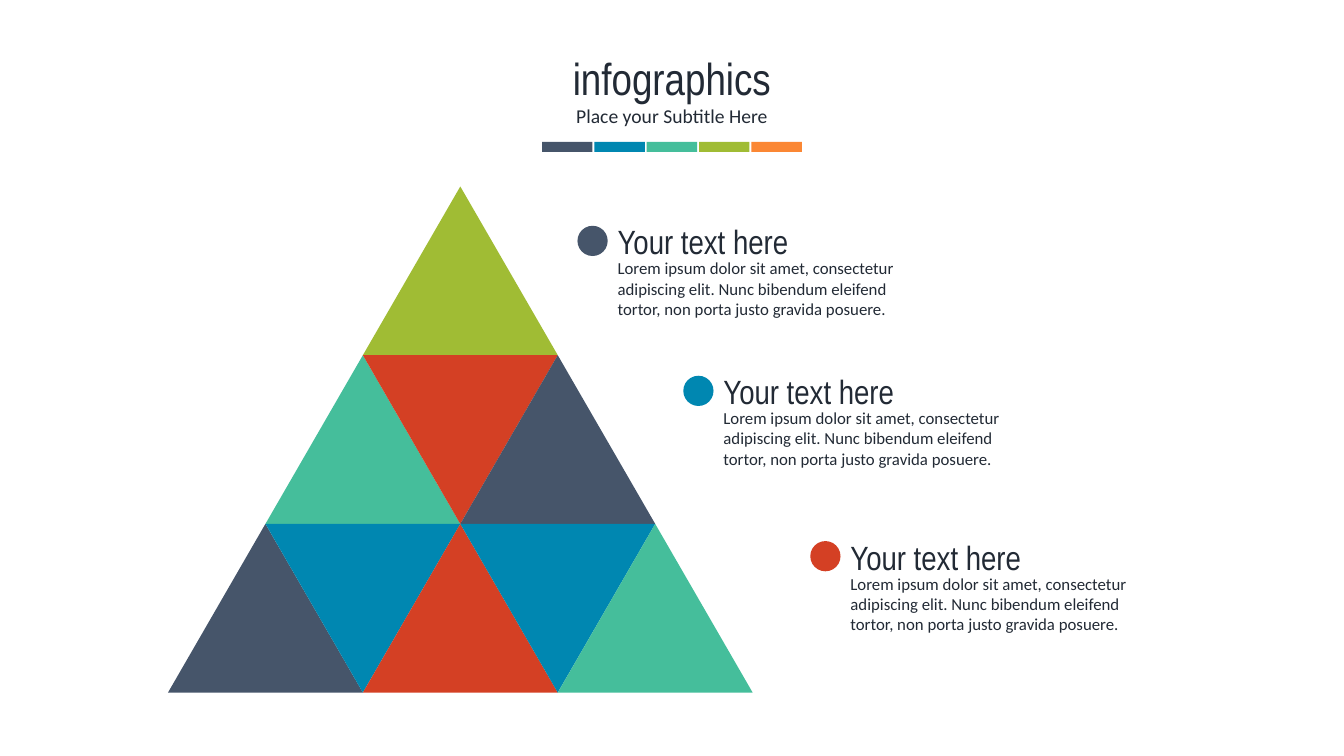
from pptx import Presentation
from pptx.dml.color import RGBColor
from pptx.enum.shapes import MSO_SHAPE as Preset
from pptx.enum.text import MSO_ANCHOR as Anchor, MSO_AUTO_SIZE as AutoSize, PP_ALIGN as Align
from pptx.util import Pt

COLORS = {
    "ink": "222A35", "slate": "46556A", "blue": "0087B1", "teal": "45BE9B",
    "lime": "A0BC34", "orange": "FB8734", "red": "D44024",
}
HEADING = {"name": "Arial Narrow", "bold": False}
BODY = {"name": "Calibri", "bold": False}

STRIPES = ["slate", "blue", "teal", "lime", "orange"]
PYRAMID = [
    ["lime"],
    ["teal", "red", "slate"],
    ["slate", "blue", "red", "blue", "teal"],
]
APEX_X, APEX_Y = 328.8, 133.2
HALF_SIDE, ROW_HEIGHT = 69.6, 120.5

ENTRY_TITLE = "Your text here"
ENTRY_TEXT = ("Lorem ipsum dolor sit amet, consectetur adipiscing elit. "
              "Nunc bibendum eleifend tortor, non porta justo gravida posuere.")
ENTRIES = [("slate", 412.5, 161.3), ("blue", 488.1, 268.4), ("red", 578.8, 386.5)]
DOT_SIZE = 21.6


def rgb(color):
    return RGBColor.from_string(COLORS[color])


def paint(shape, color):
    shape.shadow.inherit = False
    shape.fill.solid()
    shape.fill.fore_color.rgb = rgb(color)
    shape.line.fill.background()


def add_block(slide, preset, left, top, width, height, color):
    paint(slide.shapes.add_shape(preset, Pt(left), Pt(top), Pt(width), Pt(height)), color)


def write(holder, text, size, typeface, align):
    frame = holder.text_frame
    frame.auto_size = AutoSize.NONE
    frame.word_wrap = True
    frame.vertical_anchor = Anchor.TOP
    line = frame.paragraphs[0]
    line.text = text
    line.alignment = align
    line.space_before = Pt(0)
    for attribute, value in {**typeface, "size": Pt(size)}.items():
        setattr(line.font, attribute, value)
    line.font.color.rgb = rgb("ink")


def place(holder, left, top, width, height):
    for side, value in {"left": left, "top": top, "width": width, "height": height}.items():
        setattr(holder, side, Pt(value))


def add_label(slide, left, top, height, text, size, typeface):
    label = slide.shapes.add_textbox(Pt(left), Pt(top), Pt(228.2), Pt(height))
    write(label, text, size, typeface, Align.LEFT)


def add_header(slide):
    title, subtitle = slide.shapes.title, slide.placeholders[1]
    place(title, 0, 32.4, 960, 46)
    write(title, "infographics", 32, HEADING, Align.CENTER)
    place(subtitle, 49, 70.6, 862, 24.5)
    write(subtitle, "Place your Subtitle Here", 14, BODY, Align.CENTER)
    for position, color in enumerate(STRIPES):
        add_block(slide, Preset.RECTANGLE, 387.2 + 37.4 * position, 101.4, 36, 7.2, color)


def add_triangle(slide, row, column, color):
    left = APEX_X + (column - row - 1) * HALF_SIDE
    top = APEX_Y + row * ROW_HEIGHT
    bottom = top + ROW_HEIGHT
    tip, base = (top, bottom) if column % 2 == 0 else (bottom, top)
    outline = slide.shapes.build_freeform(Pt(left + HALF_SIDE), Pt(tip))
    outline.add_line_segments([(Pt(left), Pt(base)), (Pt(left + 2 * HALF_SIDE), Pt(base))])
    paint(outline.convert_to_shape(), color)


def add_entry(slide, color, left, top):
    text_left = left + DOT_SIZE
    add_label(slide, text_left, top + 19.5, 51, ENTRY_TEXT, 12, BODY)
    add_label(slide, text_left, top - 6.8, 36, ENTRY_TITLE, 24, HEADING)
    add_block(slide, Preset.OVAL, left, top, DOT_SIZE, DOT_SIZE, color)


def main():
    deck = Presentation()
    deck.slide_width, deck.slide_height = Pt(960), Pt(540)
    slide = deck.slides.add_slide(deck.slide_layouts[0])
    add_header(slide)
    for row, colors in enumerate(PYRAMID):
        for column, color in enumerate(colors):
            add_triangle(slide, row, column, color)
    for entry in ENTRIES:
        add_entry(slide, *entry)
    deck.save("out.pptx")


if __name__ == "__main__":
    main()
